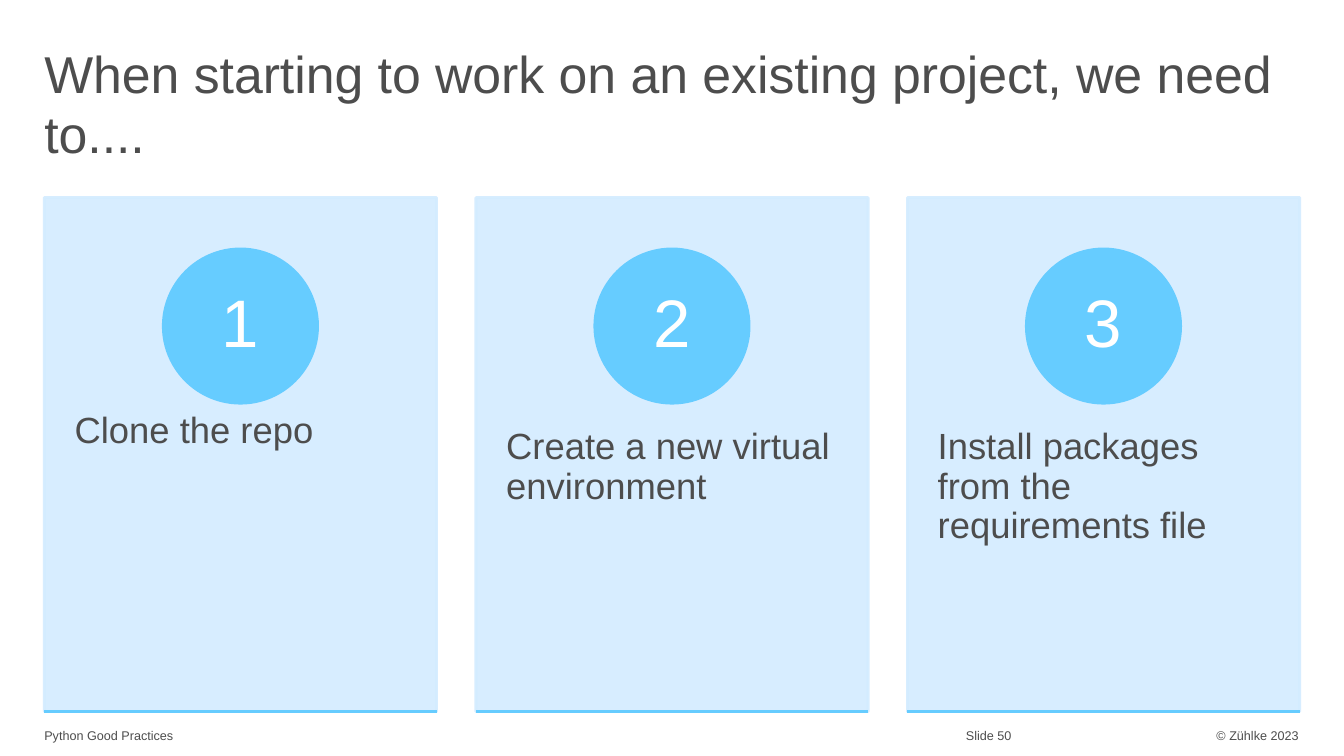
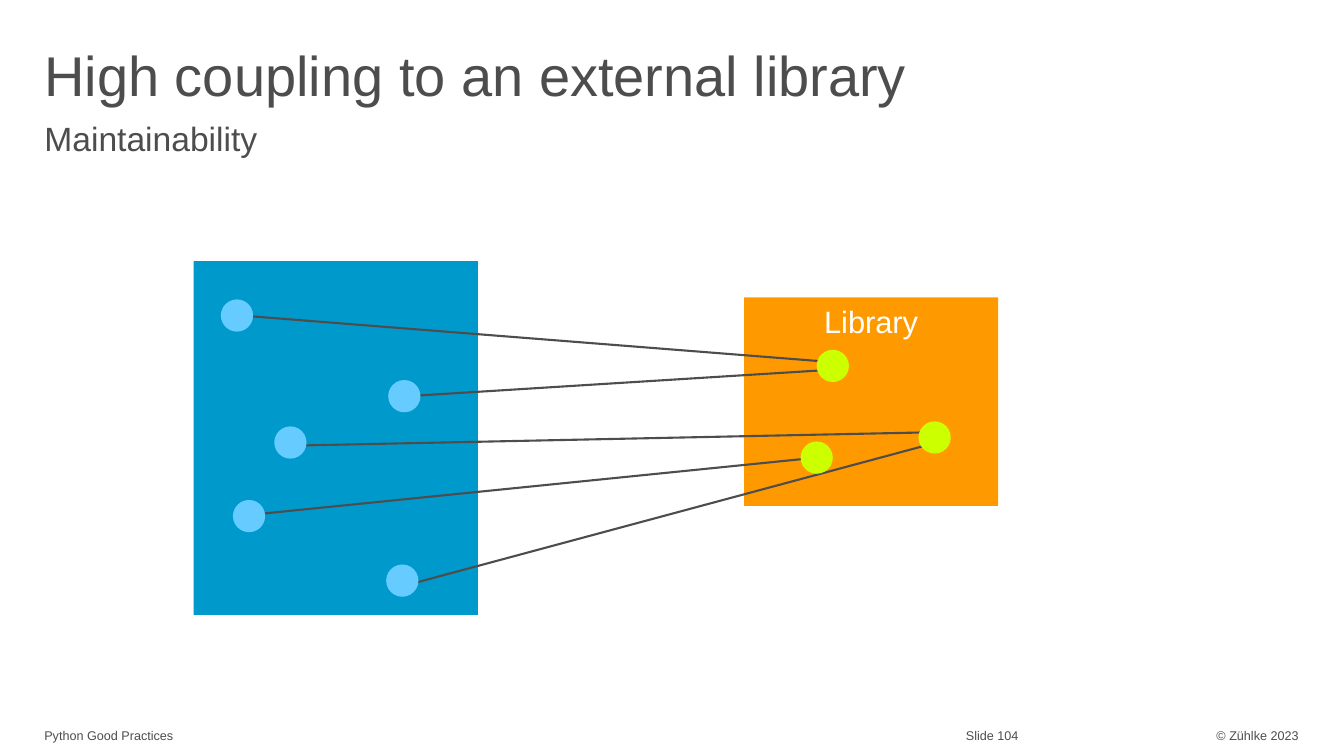
from dataclasses import dataclass
from typing import NamedTuple

from lxml import etree
from pptx import Presentation
from pptx.dml.color import RGBColor
from pptx.enum.shapes import MSO_CONNECTOR, MSO_SHAPE
from pptx.enum.text import MSO_ANCHOR, PP_ALIGN
from pptx.oxml.ns import qn
from pptx.util import Emu, Pt

EMU_PER_PX = 9144  # 100 px to the inch
RECTANGLE, ELLIPSE = MSO_SHAPE.RECTANGLE, MSO_SHAPE.OVAL
STRAIGHT = MSO_CONNECTOR.STRAIGHT
TOP, MIDDLE = MSO_ANCHOR.TOP, MSO_ANCHOR.MIDDLE
LEFT, CENTER, RIGHT = PP_ALIGN.LEFT, PP_ALIGN.CENTER, PP_ALIGN.RIGHT


@dataclass(frozen=True)
class Theme:
    font: str = "Arial"
    ink: str = "4D4D4D"
    white: str = "FFFFFF"
    card: str = "D3ECFF"
    sky: str = "66CCFF"
    blue: str = "0099CC"
    orange: str = "FF9900"
    lime: str = "CCFF00"
    title: int = 40
    long_title: int = 37
    subtitle: int = 24
    card_text: int = 26
    number: int = 48
    label: int = 22
    footer: int = 9
    title_spacing: float = 0.98
    card_spacing: float = 0.9
    border: float = 2
    link: float = 1.5


THEME = Theme()


class Area(NamedTuple):
    left: int
    top: int
    width: int
    height: int


class Point(NamedTuple):
    x: int
    y: int


class Link(NamedTuple):
    start: Point
    end: Point


SLIDE_WIDTH, SLIDE_HEIGHT = 1333, 750
MARGIN, CONTENT_WIDTH = 44, 1244
TITLE_AREA = Area(MARGIN, 44, CONTENT_WIDTH, 73)
SUBTITLE_AREA = Area(MARGIN, 119, CONTENT_WIDTH, 40)
FOOTER_TOP, FOOTER_HEIGHT = 722, 16

STEPS = (
    "Clone the repo",
    "Create a new virtual environment",
    "Install packages from the requirements file",
)
CARD_TOP, CARD_WIDTH, CARD_HEIGHT, CARD_PITCH = 196, 389, 510, 428
CARD_TEXT_TOP, CARD_TEXT_HEIGHT = 389, 306
BADGE_TOP, BADGE_SIZE = 247, 153

DOT_SIZE = 32
CODE_AREA = Area(192, 259, 282, 351)
LIBRARY_AREA = Area(738, 295, 252, 207)
CODE_DOTS = (Point(219, 297), Point(385, 377), Point(272, 423),
             Point(231, 496), Point(383, 560))
LIBRARY_DOTS = (Point(810, 347), Point(794, 438), Point(911, 418))
LINKS = (
    Link(Point(239, 313), Point(822, 359)),
    Link(Point(405, 393), Point(822, 367)),
    Link(Point(297, 442), Point(918, 429)),
    Link(Point(256, 510), Point(800, 455)),
    Link(Point(405, 580), Point(918, 442)),
)


def px(length: int) -> Emu:
    return Emu(length * EMU_PER_PX)


def emu_area(area: Area) -> list[Emu]:
    return [px(length) for length in area]


def write_text(box, text: str, *, size: int, color: str = THEME.ink,
               align=LEFT, anchor=TOP, spacing: float = 1.0,
               insets: tuple[int, int] = (0, 0)) -> None:
    """Fill a shape with one paragraph; insets are horizontal and vertical px."""
    frame = box.text_frame
    frame.word_wrap = True
    frame.vertical_anchor = anchor
    frame.margin_left = frame.margin_right = px(insets[0])
    frame.margin_top = frame.margin_bottom = px(insets[1])
    para = frame.paragraphs[0]
    para.alignment = align
    para.line_spacing = spacing
    span = para.add_run()
    span.text = text
    span.font.name = THEME.font
    span.font.size = Pt(size)
    span.font.color.rgb = RGBColor.from_string(color)


def add_text(page, area: Area, text: str, **text_format) -> None:
    write_text(page.shapes.add_textbox(*emu_area(area)), text, **text_format)


def add_filled(page, kind, area: Area, color: str, *, border: float = 0,
               opacity: int = 100):
    """Add a preset shape whose border, if any, has the colour of its fill."""
    shape = page.shapes.add_shape(kind, *emu_area(area))
    shape.shadow.inherit = False
    shape.fill.solid()
    shape.fill.fore_color.rgb = RGBColor.from_string(color)
    if border:
        shape.line.width = Pt(border)
        shape.line.color.rgb = RGBColor.from_string(color)
    else:
        shape.line.fill.background()
    if opacity < 100:
        for paint in shape.element.spPr.iter(qn("a:srgbClr")):
            etree.SubElement(paint, qn("a:alpha"), val=str(opacity * 1000))
    return shape


def add_line(page, link: Link, color: str, width: float) -> None:
    line = page.shapes.add_connector(
        STRAIGHT, *(px(length) for length in (*link.start, *link.end)))
    line.line.color.rgb = RGBColor.from_string(color)
    line.line.width = Pt(width)
    etree.SubElement(line.element.spPr, qn("a:effectLst"))


def add_page(deck, title: str, number: int, title_size: int = THEME.title):
    """Add a blank slide with the shared footer and title."""
    page = deck.slides.add_slide(deck.slide_layouts[6])
    footers = (
        (1134, 154, "© Zühlke 2023", RIGHT),
        (MARGIN, 480, "Python Good Practices", LEFT),
        (958, 166, f"Slide {number}", LEFT),
    )
    for left, width, text, align in footers:
        add_text(page, Area(left, FOOTER_TOP, width, FOOTER_HEIGHT), text,
                 size=THEME.footer, align=align)
    add_text(page, TITLE_AREA, title, size=title_size,
             spacing=THEME.title_spacing)
    return page


def add_step_card(page, left: int, number: int, text: str) -> None:
    add_filled(page, RECTANGLE, Area(left, CARD_TOP, CARD_WIDTH, CARD_HEIGHT),
               THEME.card, border=THEME.border, opacity=90)
    add_text(page, Area(left, CARD_TEXT_TOP, CARD_WIDTH, CARD_TEXT_HEIGHT), text,
             size=THEME.card_text, spacing=THEME.card_spacing, insets=(30, 36))
    badge_left = left + (CARD_WIDTH - BADGE_SIZE) // 2
    badge = add_filled(page, ELLIPSE,
                       Area(badge_left, BADGE_TOP, BADGE_SIZE, BADGE_SIZE),
                       THEME.sky, border=THEME.border)
    write_text(badge, str(number), size=THEME.number, color=THEME.white,
               align=CENTER, anchor=MIDDLE, spacing=THEME.card_spacing)
    bottom = CARD_TOP + CARD_HEIGHT
    add_line(page, Link(Point(left, bottom), Point(left + CARD_WIDTH, bottom)),
             THEME.sky, THEME.border)


def build_steps_page(deck) -> None:
    page = add_page(
        deck, "When starting to work on an existing project, we need to....",
        50, THEME.long_title)
    for index, text in enumerate(STEPS):
        add_step_card(page, MARGIN + index * CARD_PITCH, index + 1, text)


def build_coupling_page(deck) -> None:
    page = add_page(deck, "High coupling to an external library", 104)
    add_text(page, SUBTITLE_AREA, "Maintainability", size=THEME.subtitle,
             spacing=THEME.title_spacing)
    add_filled(page, RECTANGLE, CODE_AREA, THEME.blue)
    library = add_filled(page, RECTANGLE, LIBRARY_AREA, THEME.orange)
    write_text(library, "Library", size=THEME.label, color=THEME.white,
               align=CENTER, insets=(10, 5))
    for link in LINKS:
        add_line(page, link, THEME.ink, THEME.link)
    for dots, color in ((CODE_DOTS, THEME.sky), (LIBRARY_DOTS, THEME.lime)):
        for dot in dots:
            add_filled(page, ELLIPSE, Area(*dot, DOT_SIZE, DOT_SIZE), color)


def main() -> None:
    deck = Presentation()
    deck.slide_width, deck.slide_height = px(SLIDE_WIDTH), px(SLIDE_HEIGHT)
    build_steps_page(deck)
    build_coupling_page(deck)
    deck.save("out.pptx")


if __name__ == "__main__":
    main()
